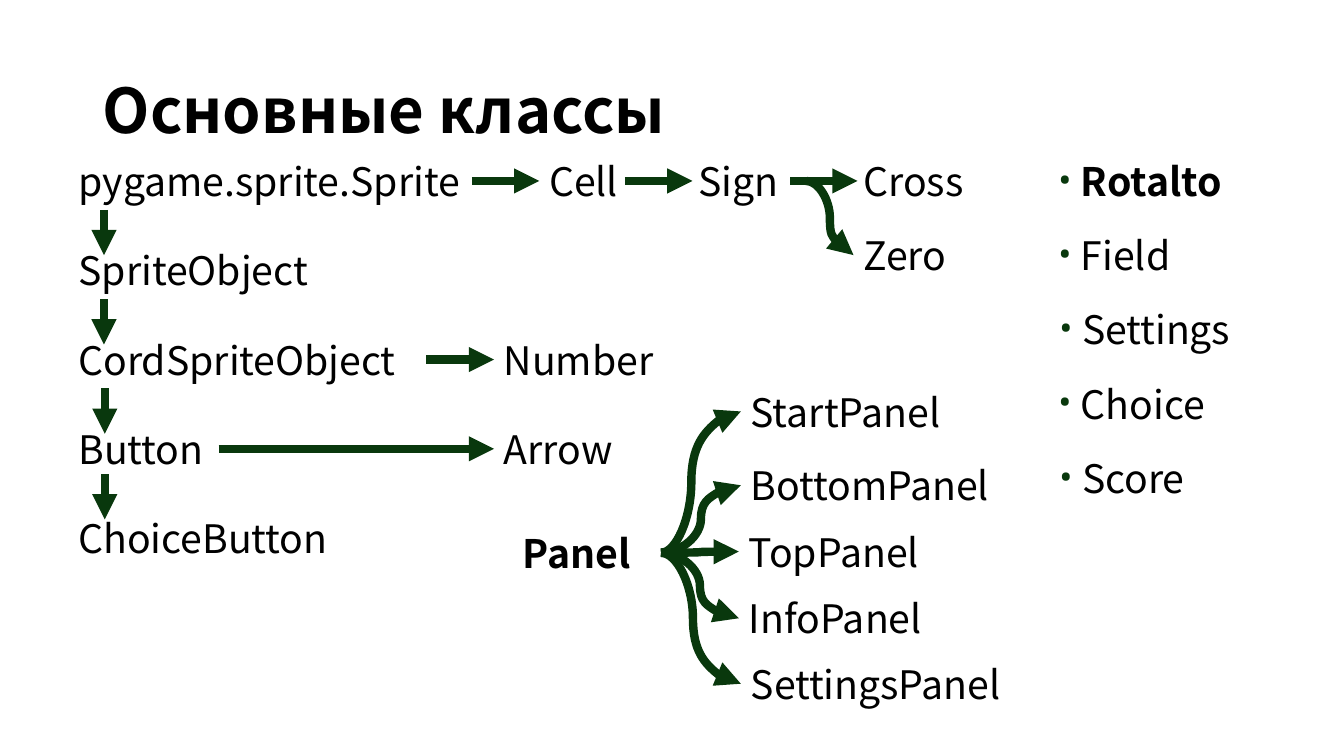
from dataclasses import dataclass

import lxml.etree
import pptx
import pptx.dml.color
import pptx.enum.shapes
import pptx.enum.text
import pptx.oxml.ns
import pptx.presentation
import pptx.slide
import pptx.text.text
import pptx.util

Cm = pptx.util.Cm
qn = pptx.oxml.ns.qn

COLORS = {"text": "000000", "accent": "09380D", "background": "FFFFFF"}
TEXT_FONT = "Noto Sans CJK SC"
BULLET_FONT = "Roboto"
LABEL_HEIGHT = 1.45
MIDDLE = 0.72
TOP_ROW = 3.84
CLASS_STEP = 2.25
LIST_STEP = 1.87
SHORT_ARROW = 1.7
DOWN_ARROW = 1.14
BULLET_INDENT = 0.57


@dataclass
class Label:
    text: str
    left: float
    top: float
    width: float
    height: float = LABEL_HEIGHT
    size: float = 28
    bold: bool = False
    bullet: bool = False


@dataclass
class Arrow:
    start_x: float
    start_y: float
    end_x: float
    end_y: float
    curved: bool = False
    bend: float = 0.5


TITLE = Label("Основные классы", 2.34, 1.02, 29.21, 3.68, 44, True)

SPRITE_CHAIN = [
    Label(text, 1.73, TOP_ROW + row * CLASS_STEP, width)
    for row, (text, width) in enumerate([
        ("pygame.sprite.Sprite", 11.28),
        ("SpriteObject", 7.14),
        ("CordSpriteObject", 11.28),
        ("Button", 3.78),
        ("ChoiceButton", 7.14),
    ])
]
NUMBER_ROW = SPRITE_CHAIN[2].top
ARROW_ROW = SPRITE_CHAIN[3].top

BRANCHES = [
    Label("Cell", 13.59, TOP_ROW, 2.36),
    Label("Sign", 17.35, TOP_ROW, 2.97),
    Label("Cross", 21.51, TOP_ROW, 3.73),
    Label("Zero", 21.51, TOP_ROW + LIST_STEP, 3.73),
    Label("Number", 12.45, NUMBER_ROW, 4.5),
    Label("Arrow", 12.45, ARROW_ROW, 3.78),
]

PANEL = Label("Panel", 12.93, 13.21, 3.73, bold=True)
PANEL_KINDS = [
    (Label("StartPanel", 18.67, 9.65, 7.54), 0.38),
    (Label("BottomPanel", 18.67, 11.51, 7.54), 0.5),
    (Label("TopPanel", 18.62, 13.18, 7.54), 0.5),
    (Label("InfoPanel", 18.62, 14.86, 7.54), 0.5),
    (Label("SettingsPanel", 18.67, 16.51, 7.54), 0.4),
]

GAME_CLASSES = [
    Label(text, left, TOP_ROW + row * LIST_STEP, 6.02, bold=row == 0, bullet=True)
    for row, (text, left) in enumerate([
        ("Rotalto", 26.42),
        ("Field", 26.42),
        ("Settings", 26.45),
        ("Choice", 26.42),
        ("Score", 26.45),
    ])
]

ARROWS = [
    *[Arrow(x, y, x, y + DOWN_ARROW)
      for x, y in [(2.62, 5.29), (2.62, 7.54), (2.64, 9.79), (2.64, 11.95)]],
    *[Arrow(x, TOP_ROW + MIDDLE, x + SHORT_ARROW, TOP_ROW + MIDDLE)
      for x in (11.89, 15.75, 19.91)],
    Arrow(20.32, TOP_ROW + MIDDLE, 21.51, TOP_ROW + LIST_STEP + MIDDLE, True),
    Arrow(10.74, NUMBER_ROW + MIDDLE, 12.45, NUMBER_ROW + MIDDLE),
    Arrow(5.51, ARROW_ROW + MIDDLE, 12.45, ARROW_ROW + MIDDLE),
    *[Arrow(PANEL.left + PANEL.width, PANEL.top + MIDDLE,
            kind.left, kind.top + MIDDLE, True, bend)
      for kind, bend in PANEL_KINDS],
]


def color(name: str) -> pptx.dml.color.RGBColor:
    return pptx.dml.color.RGBColor.from_string(COLORS[name])


def add_bullet(paragraph: pptx.text.text._Paragraph) -> None:
    properties = paragraph._p.get_or_add_pPr()
    properties.set("marL", str(Cm(BULLET_INDENT)))
    properties.set("indent", str(-Cm(BULLET_INDENT)))
    bullet_color = lxml.etree.SubElement(properties, qn("a:buClr"))
    lxml.etree.SubElement(bullet_color, qn("a:srgbClr"), val=COLORS["accent"])
    lxml.etree.SubElement(properties, qn("a:buFont"), typeface=BULLET_FONT)
    lxml.etree.SubElement(properties, qn("a:buChar"), char="•")


def draw_label(slide: pptx.slide.Slide, label: Label) -> pptx.text.text.TextFrame:
    shape = slide.shapes.add_textbox(
        Cm(label.left), Cm(label.top), Cm(label.width), Cm(label.height))
    text_frame = shape.text_frame
    text_frame.word_wrap = True
    text_frame.text = label.text
    paragraph = text_frame.paragraphs[0]
    if label.bullet:
        add_bullet(paragraph)
    font = paragraph.runs[0].font
    font.name = TEXT_FONT
    font.size = pptx.util.Pt(label.size)
    font.bold = label.bold
    font.color.rgb = color("text")
    return text_frame


def draw_arrow(slide: pptx.slide.Slide, arrow: Arrow) -> None:
    kinds = pptx.enum.shapes.MSO_CONNECTOR
    connector = slide.shapes.add_connector(
        kinds.CURVE if arrow.curved else kinds.STRAIGHT,
        Cm(arrow.start_x), Cm(arrow.start_y), Cm(arrow.end_x), Cm(arrow.end_y))
    connector.line.color.rgb = color("accent")
    connector.line.width = pptx.util.Pt(6)
    properties = connector._element.spPr
    lxml.etree.SubElement(connector.line._get_or_add_ln(), qn("a:tailEnd"), type="triangle")
    lxml.etree.SubElement(properties, qn("a:effectLst"))
    if arrow.curved:
        adjustments = properties.find(qn("a:prstGeom")).find(qn("a:avLst"))
        lxml.etree.SubElement(
            adjustments, qn("a:gd"), name="adj1", fmla=f"val {round(arrow.bend * 100000)}")


def draw_title(slide: pptx.slide.Slide) -> None:
    text_frame = draw_label(slide, TITLE)
    text_frame.vertical_anchor = pptx.enum.text.MSO_ANCHOR.MIDDLE
    text_frame.paragraphs[0].line_spacing = 0.9


def main() -> None:
    presentation = pptx.Presentation()
    presentation.slide_width = Cm(33.87)
    presentation.slide_height = Cm(19.05)
    slide = presentation.slides.add_slide(presentation.slide_layouts[6])
    slide.background.fill.solid()
    slide.background.fill.fore_color.rgb = color("background")

    draw_title(slide)
    panels = [kind for kind, _ in PANEL_KINDS]
    for label in [*SPRITE_CHAIN, *BRANCHES, PANEL, *panels, *GAME_CLASSES]:
        draw_label(slide, label)
    for arrow in ARROWS:
        draw_arrow(slide, arrow)

    presentation.save("out.pptx")


if __name__ == "__main__":
    main()
